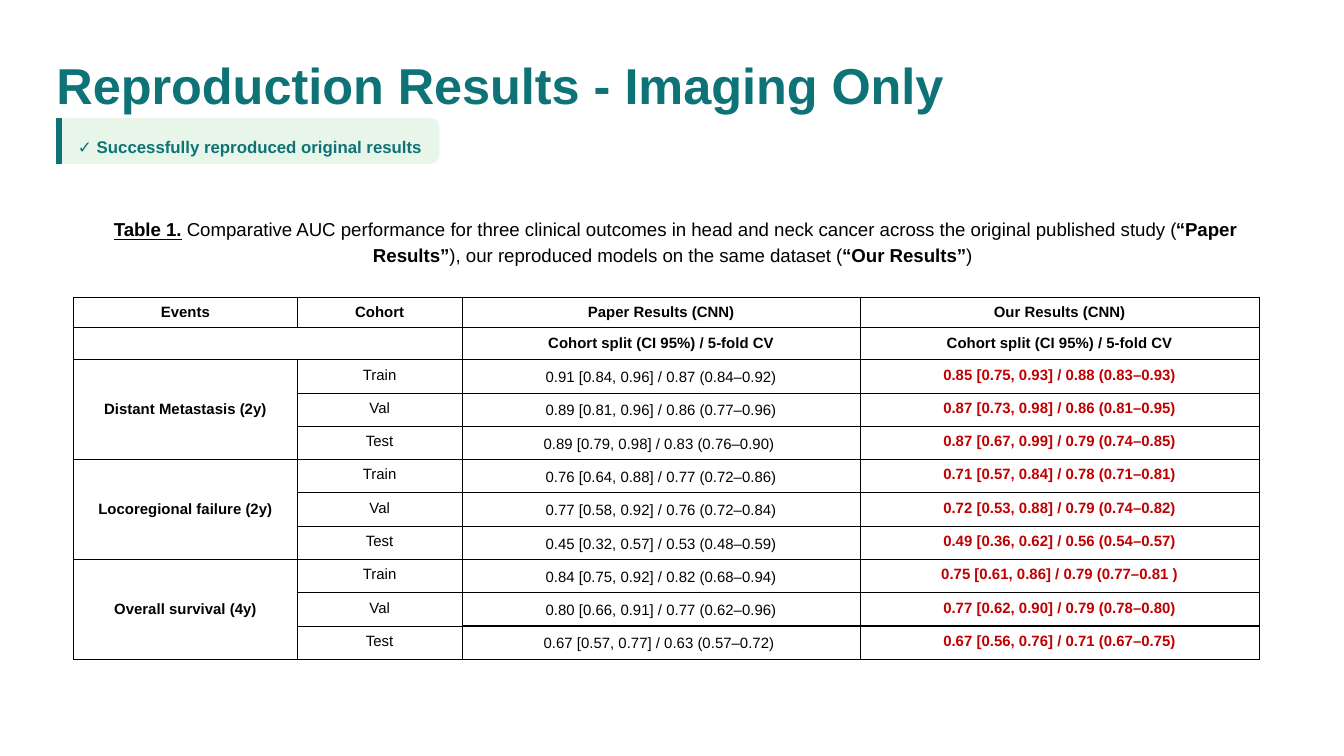
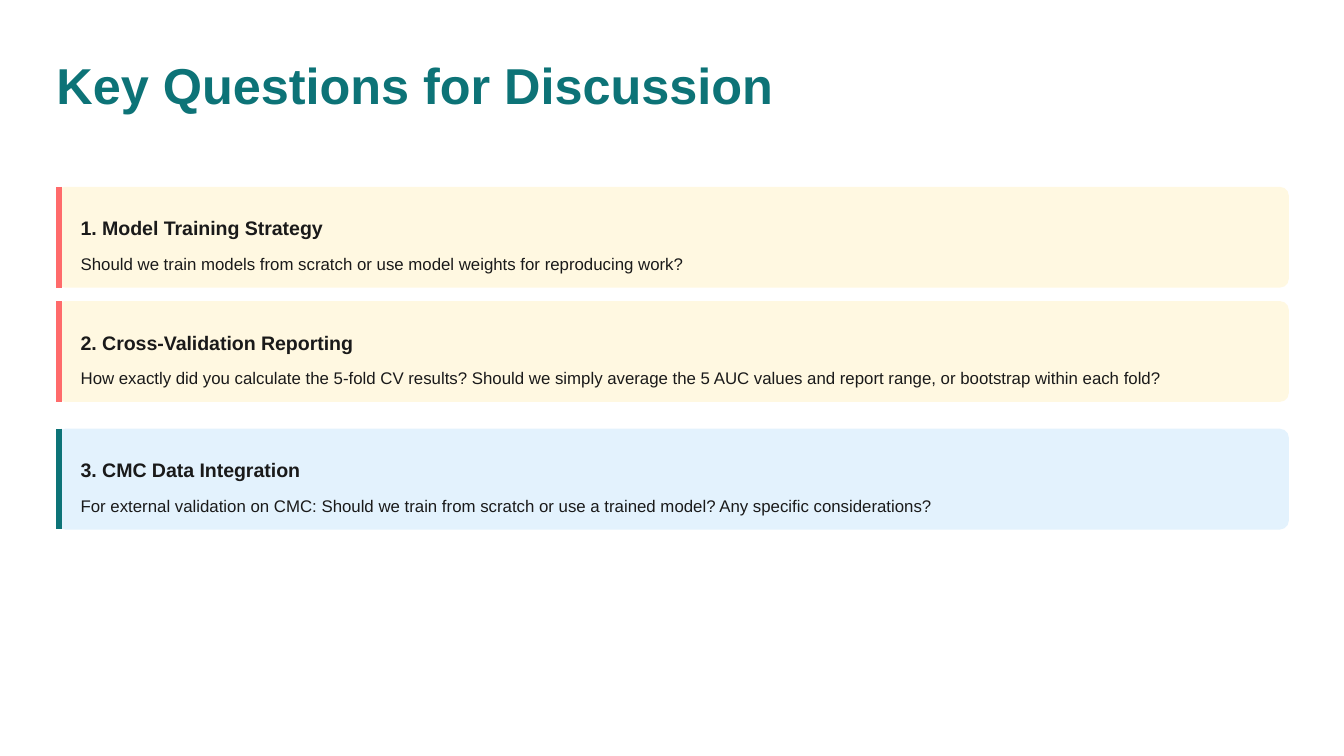
from lxml import etree
from pptx import Presentation
from pptx.dml.color import RGBColor
from pptx.enum.shapes import MSO_CONNECTOR, MSO_SHAPE
from pptx.enum.text import MSO_ANCHOR, MSO_AUTO_SIZE, PP_ALIGN
from pptx.oxml.ns import qn
from pptx.util import Inches, Pt

LEFT, CENTER = PP_ALIGN.LEFT, PP_ALIGN.CENTER
TOP, MIDDLE = MSO_ANCHOR.TOP, MSO_ANCHOR.MIDDLE
ROUND, STRAIGHT = MSO_SHAPE.ROUNDED_RECTANGLE, MSO_CONNECTOR.STRAIGHT
FIXED = MSO_AUTO_SIZE.NONE

TEAL = RGBColor(0x0D, 0x73, 0x77)
CORAL = RGBColor(0xFF, 0x6B, 0x6B)
MINT = RGBColor(0xE8, 0xF5, 0xE9)
CREAM = RGBColor(0xFF, 0xF8, 0xE1)
SKY = RGBColor(0xE3, 0xF2, 0xFD)
INK = RGBColor(0x1A, 0x1A, 0x1A)
BLACK = RGBColor(0, 0, 0)
WHITE = RGBColor(0xFF, 0xFF, 0xFF)
RED = RGBColor(0xC0, 0, 0)

SIDE = 0.42
HEAD = {"size": Pt(27), "color": TEAL, "bold": True}
BADGE = {"size": Pt(9), "color": TEAL, "bold": True}
TOPIC = {"size": Pt(10.5), "color": INK, "bold": True}
ASK = {"size": Pt(9), "color": INK, "bold": False}
PLAIN = {"size": Pt(10), "color": BLACK, "bold": False}
STRONG = {**PLAIN, "bold": True}
LABEL = {"size": Pt(8), "color": BLACK, "bold": True}
VALUE = {**LABEL, "bold": False}
OURS = {**LABEL, "color": RED}


def write(frame, runs, space=1.0, align=LEFT, inset=0):
    """Fill the first paragraph with (text, format) runs."""
    frame.word_wrap = True
    frame.auto_size = FIXED
    frame.vertical_anchor = TOP
    for side in ("left", "right", "top", "bottom"):
        setattr(frame, f"margin_{side}", Inches(inset))
    para = frame.paragraphs[0]
    para.alignment, para.line_spacing = align, space
    for text, style in runs:
        run = para.add_run()
        run.text = text
        run.font.name = "Arial"
        for key, value in style.items():
            if key == "color":
                run.font.color.rgb = value
            else:
                setattr(run.font, key, value)
    return para


def card(slide, top, width, height, fill, edge, curve):
    """Add a rounded panel with a coloured bar on its left."""
    panel = slide.shapes.add_shape(
        ROUND, Inches(SIDE), Inches(top), Inches(width), Inches(height))
    panel.adjustments[0] = curve
    panel.shadow.inherit = False
    panel.fill.solid()
    panel.fill.fore_color.rgb = fill
    panel.line.fill.background()
    x = Inches(SIDE + 0.02)
    bar = slide.shapes.add_connector(
        STRAIGHT, x, Inches(top), x, Inches(top + height))
    bar.line.color.rgb = edge
    bar.line.width = Pt(3)
    etree.SubElement(bar._element.spPr, qn("a:effectLst"))


deck = Presentation()
deck.slide_width, deck.slide_height = Inches(10), Inches(10 * 9 / 16)

slides = []
for name, width in (("Reproduction Results - Imaging Only", 6.75),
                    ("Key Questions for Discussion", 5.45)):
    slide = deck.slides.add_slide(deck.slide_layouts[5])
    title = slide.shapes.title
    title.left, title.top = Inches(SIDE), Inches(0.35)
    title.width, title.height = Inches(width), Inches(0.42)
    write(title.text_frame, [(name, HEAD)], 1.11)
    slides.append(slide)
results, talk = slides

# Results slide: badge, table and caption
card(results, 0.88, 2.85, 0.34, MINT, TEAL, 0.195)
badge = results.shapes.add_textbox(
    Inches(0.58), Inches(0.96), Inches(2.61), Inches(0.17))
write(badge.text_frame,
      [("✓ Successfully reproduced original results", BADGE)], 1.4)

SPLIT = "Cohort split (CI 95%) / 5-fold CV"
rows = [
    ("Events", "Cohort", "Paper Results (CNN)", "Our Results (CNN)"),
    ("", "", SPLIT, SPLIT),
]
events = {
    "Distant Metastasis (2y)": [
        ("0.91 [0.84, 0.96] / 0.87 (0.84–0.92)", "0.85 [0.75, 0.93] / 0.88 (0.83–0.93)"),
        ("0.89 [0.81, 0.96] / 0.86 (0.77–0.96)", "0.87 [0.73, 0.98] / 0.86 (0.81–0.95)"),
        ("0.89 [0.79, 0.98] / 0.83 (0.76–0.90) ", "0.87 [0.67, 0.99] / 0.79 (0.74–0.85)"),
    ],
    "Locoregional failure (2y)": [
        ("0.76 [0.64, 0.88] / 0.77 (0.72–0.86)", "0.71 [0.57, 0.84] / 0.78 (0.71–0.81)"),
        ("0.77 [0.58, 0.92] / 0.76 (0.72–0.84)", "0.72 [0.53, 0.88] / 0.79 (0.74–0.82)"),
        ("0.45 [0.32, 0.57] / 0.53 (0.48–0.59)", "0.49 [0.36, 0.62] / 0.56 (0.54–0.57)"),
    ],
    "Overall survival (4y)": [
        ("0.84 [0.75, 0.92] / 0.82 (0.68–0.94)", "0.75 [0.61, 0.86] / 0.79 (0.77–0.81 )"),
        ("0.80 [0.66, 0.91] / 0.77 (0.62–0.96)", "0.77 [0.62, 0.90] / 0.79 (0.78–0.80)"),
        ("0.67 [0.57, 0.77] / 0.63 (0.57–0.72) ", "0.67 [0.56, 0.76] / 0.71 (0.67–0.75)"),
    ],
}
for event, scores in events.items():
    for i, (cohort, pair) in enumerate(zip(("Train", "Val", "Test"), scores)):
        rows.append((event if i == 0 else "", cohort, *pair))

TALL, TOP_ROW = 2.69, 0.23
LOW_ROW = (TALL - 2 * TOP_ROW) / (len(rows) - 2)
table = results.shapes.add_table(
    len(rows), 4, Inches(0.55), Inches(2.21), Inches(8.82), Inches(TALL)).table
table.first_row = table.horz_banding = False
for col, width in zip(table.columns, (1.66, 1.23, 2.96, 2.97)):
    col.width = Inches(width)
table.cell(1, 0).merge(table.cell(1, 1))
for r in (2, 5, 8):
    table.cell(r, 0).merge(table.cell(r + 2, 0))

for r, row in enumerate(rows):
    table.rows[r].height = Inches(TOP_ROW if r < 2 else LOW_ROW)
    for c, text in enumerate(row):
        cell = table.cell(r, c)
        cell.fill.solid()
        cell.fill.fore_color.rgb = WHITE
        style = LABEL if r < 2 else (LABEL, VALUE, VALUE, OURS)[c]
        for side in ("left", "right", "top", "bottom"):
            setattr(cell, f"margin_{side}", Inches(0.05))
        cell.vertical_anchor = MIDDLE if c == 0 or r == 0 and c == 1 else TOP
        para = cell.text_frame.paragraphs[0]
        para.alignment = CENTER
        para.line_spacing = 1.15 if r > 1 and c == 2 else 1.0
        if text:
            run = para.add_run()
            run.text = text
            run.font.name = "Arial"
            run.font.size, run.font.bold = style["size"], style["bold"]
            run.font.color.rgb = style["color"]
        # Keeps empty cells from stretching their row
        etree.SubElement(para._p, qn("a:endParaRPr"), sz="800")
        props = cell._tc.get_or_add_tcPr()
        weight = Pt(0.75 if r > 4 and c > 1 else 0.56)
        for i, tag in enumerate(("a:lnL", "a:lnR", "a:lnT", "a:lnB")):
            line = etree.Element(qn(tag), w=str(weight))
            fill = etree.SubElement(line, qn("a:solidFill"))
            etree.SubElement(fill, qn("a:srgbClr"), val=str(BLACK))
            props.insert(i, line)

note = results.shapes.add_textbox(
    Inches(0.7), Inches(1.5), Inches(8.61), Inches(0.47))
para = write(note.text_frame, [
    (" ", STRONG),
    ("Table 1.", {**STRONG, "underline": True}),
    (" Comparative AUC performance for three clinical outcomes in head and neck "
     "cancer across the original published study (", PLAIN),
    ("“Paper Results”", STRONG),
    ("), our reproduced models on the same dataset (", PLAIN),
    ("“Our Results”", STRONG),
    (")", PLAIN),
], 1.15, CENTER, 0.1)
para.space_before, para.space_after = Pt(9), Pt(2)

# Discussion slide: one card per question
asks = [
    (1.39, CREAM, CORAL, "1. Model Training Strategy",
     "Should we train models from scratch or use model weights for reproducing work?"),
    (2.24, CREAM, CORAL, "2. Cross-Validation Reporting",
     "How exactly did you calculate the 5-fold CV results? Should we simply average "
     "the 5 AUC values and report range, or bootstrap within each fold?"),
    (3.19, SKY, TEAL, "3. CMC Data Integration",
     "For external validation on CMC: Should we train from scratch or use a trained "
     "model? Any specific considerations?"),
]
for top, fill, edge, topic, ask in asks:
    card(talk, top, 9.17, 0.75, fill, edge, 0.089)
    for text, style, drop, height, space in ((topic, TOPIC, 0.15, 0.2, 1.4),
                                             (ask, ASK, 0.42, 0.19, 1.5)):
        box = talk.shapes.add_textbox(
            Inches(0.6), Inches(top + drop), Inches(9.01), Inches(height))
        write(box.text_frame, [(text, style)], space)

deck.save("out.pptx")
